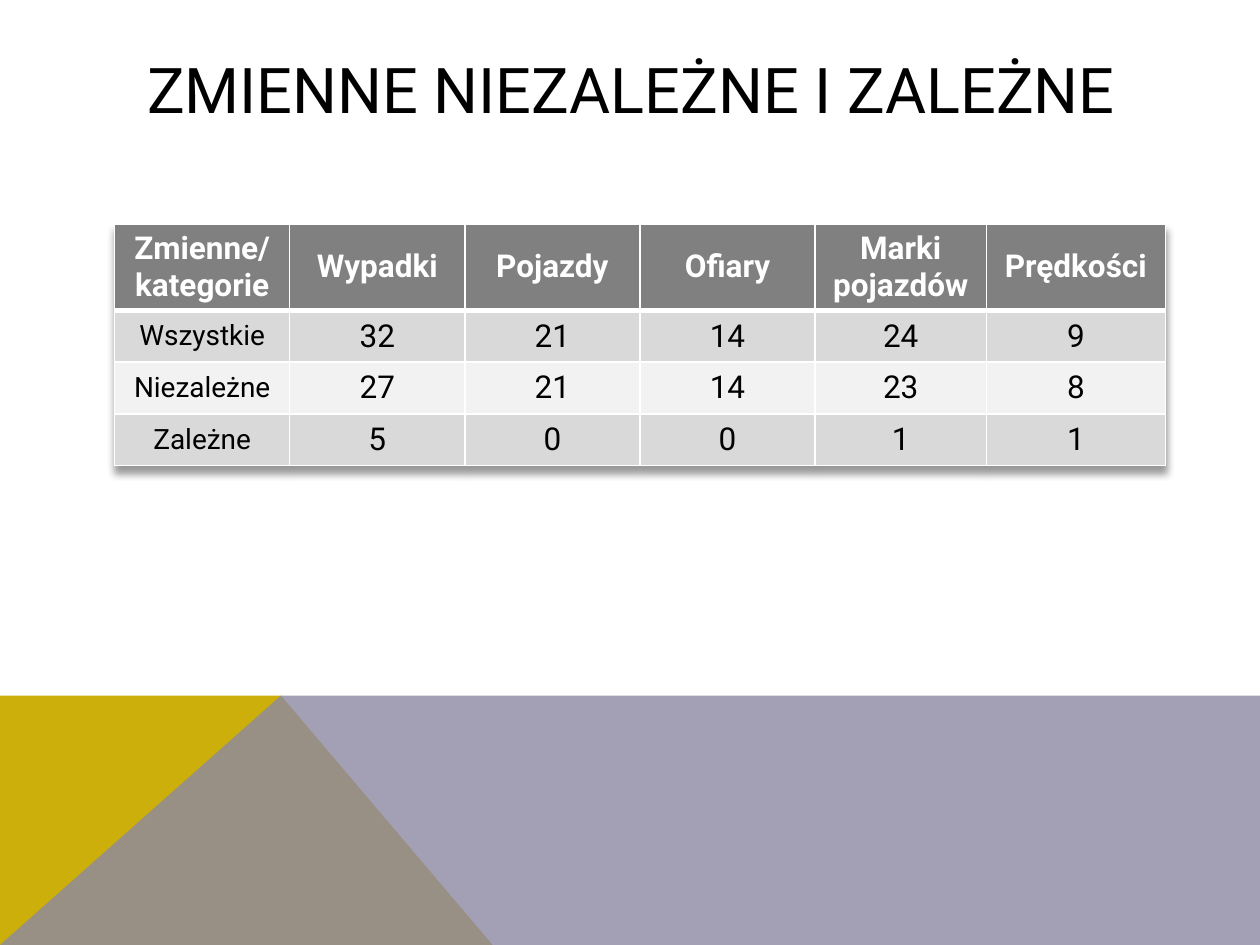
"""Build the slide on independent and dependent variables."""
from lxml import etree
from pptx import Presentation
from pptx import util as u
from pptx.dml.color import RGBColor
from pptx.enum import text
from pptx.oxml.ns import qn

WIDTH, HEIGHT = u.Inches(10), u.Inches(7.5)
FONT = "Roboto"
BLACK = RGBColor(0x00, 0x00, 0x00)
WHITE = RGBColor(0xFF, 0xFF, 0xFF)
GOLD = RGBColor(0xCC, 0xAF, 0x0A)
VIOLET = RGBColor(0x8D, 0x89, 0xA4)
HEADER = RGBColor(0x80, 0x80, 0x80)
BANDS = RGBColor(0xF2, 0xF2, 0xF2), RGBColor(0xD9, 0xD9, 0xD9)

BAND_TOP, PEAK, FOOT = 0.736, 0.223, 0.391
COLUMNS = [1.39, 1.39, 1.39, 1.39, 1.36, 1.42]
ROWS = [0.68, 0.41, 0.41, 0.41]
DATA = [
    ["Zmienne/kategorie", "Wypadki", "Pojazdy", "Ofiary", "Marki pojazdów", "Prędkości"],
    ["Wszystkie", "32", "21", "14", "24", "9"],
    ["Niezależne", "27", "21", "14", "23", "8"],
    ["Zależne", "5", "0", "0", "1", "1"],
]


def write(tf, content, size, color, bold=False):
    """Put one centred line of text into a text frame."""
    tf.text = content
    p = tf.paragraphs[0]
    p.alignment = text.PP_ALIGN.CENTER
    font = p.runs[0].font
    font.name, font.size, font.bold = FONT, u.Pt(size), bold
    font.color.rgb = color


def add_polygon(slide, points, color, alpha=None):
    """Draw a filled outline from points given as shares of the slide."""
    corners = [(round(x * WIDTH), round(y * HEIGHT)) for x, y in points]
    builder = slide.shapes.build_freeform(*corners[0])
    builder.add_line_segments(corners[1:], close=True)
    sp = builder.convert_to_shape()
    sp.shadow.inherit = False
    sp.line.fill.background()
    sp.fill.solid()
    sp.fill.fore_color.rgb = color
    if alpha:
        clr = sp.fill._xPr.find(".//" + qn("a:srgbClr"))
        etree.SubElement(clr, qn("a:alpha"), val=str(alpha * 1000))


def add_title(slide, content):
    """Place and format the title placeholder."""
    sp = slide.shapes.title
    sp.left, sp.top = round(0.09 * WIDTH), round(0.053 * HEIGHT)
    sp.width, sp.height = round(0.822 * WIDTH), round(0.08 * HEIGHT)
    write(sp.text_frame, content, 36, BLACK)
    sp.text_frame.vertical_anchor = text.MSO_ANCHOR.MIDDLE


def set_borders(cell, top, bottom):
    """Give a cell white borders, with top and bottom widths in points."""
    tc_pr = cell._tc.get_or_add_tcPr()
    sides = {"L": 1, "R": 1, "T": top, "B": bottom}
    for i, (side, width) in enumerate(sides.items()):
        ln = etree.Element(qn("a:ln" + side), w=str(u.Pt(width)))
        fill = etree.SubElement(ln, qn("a:solidFill"))
        etree.SubElement(fill, qn("a:srgbClr"), val=str(WHITE))
        tc_pr.insert(i, ln)


def add_table_shadow(table):
    """Cast a soft grey shadow below the table."""
    effects = etree.Element(qn("a:effectLst"))
    shadow = etree.SubElement(effects, qn("a:outerShdw"), blurRad="50800",
                              dist="50800", dir="5400000", rotWithShape="0")
    clr = etree.SubElement(shadow, qn("a:srgbClr"), val=str(BLACK))
    etree.SubElement(clr, qn("a:alpha"), val="40000")
    table._tbl.tblPr.insert(0, effects)


def add_data_table(slide):
    """Add the table with a dark header and banded rows."""
    frame = slide.shapes.add_table(
        len(ROWS), len(COLUMNS), round(0.091 * WIDTH), round(0.237 * HEIGHT),
        u.Inches(sum(COLUMNS)), u.Inches(sum(ROWS)))
    table = frame.table
    for column, width in zip(table.columns, COLUMNS):
        column.width = u.Inches(width)
    for row, height in zip(table.rows, ROWS):
        row.height = u.Inches(height)
    for i, values in enumerate(DATA):
        for j, value in enumerate(values):
            cell = table.cell(i, j)
            head = i == 0
            size = 16 if j == 0 and not head else 18
            write(cell.text_frame, value, size, WHITE if head else BLACK, head)
            cell.vertical_anchor = text.MSO_ANCHOR.MIDDLE
            cell.fill.solid()
            cell.fill.fore_color.rgb = HEADER if head else BANDS[i % 2]
            set_borders(cell, 3 if i == 1 else 1, 3 if head else 1)
    add_table_shadow(table)


def main():
    """Build and save the slide."""
    prs = Presentation()
    prs.slide_width, prs.slide_height = WIDTH, HEIGHT
    slide = prs.slides.add_slide(prs.slide_layouts[5])
    peak = (PEAK, BAND_TOP)
    add_polygon(slide, [(0, 1), (0, BAND_TOP), peak, (FOOT, 1)], GOLD)
    add_polygon(slide, [(0, 1), peak, (1, BAND_TOP), (1, 1)], VIOLET, 80)
    add_title(slide, "ZMIENNE NIEZALEŻNE I ZALEŻNE")
    add_data_table(slide)
    prs.save("out.pptx")


main()
